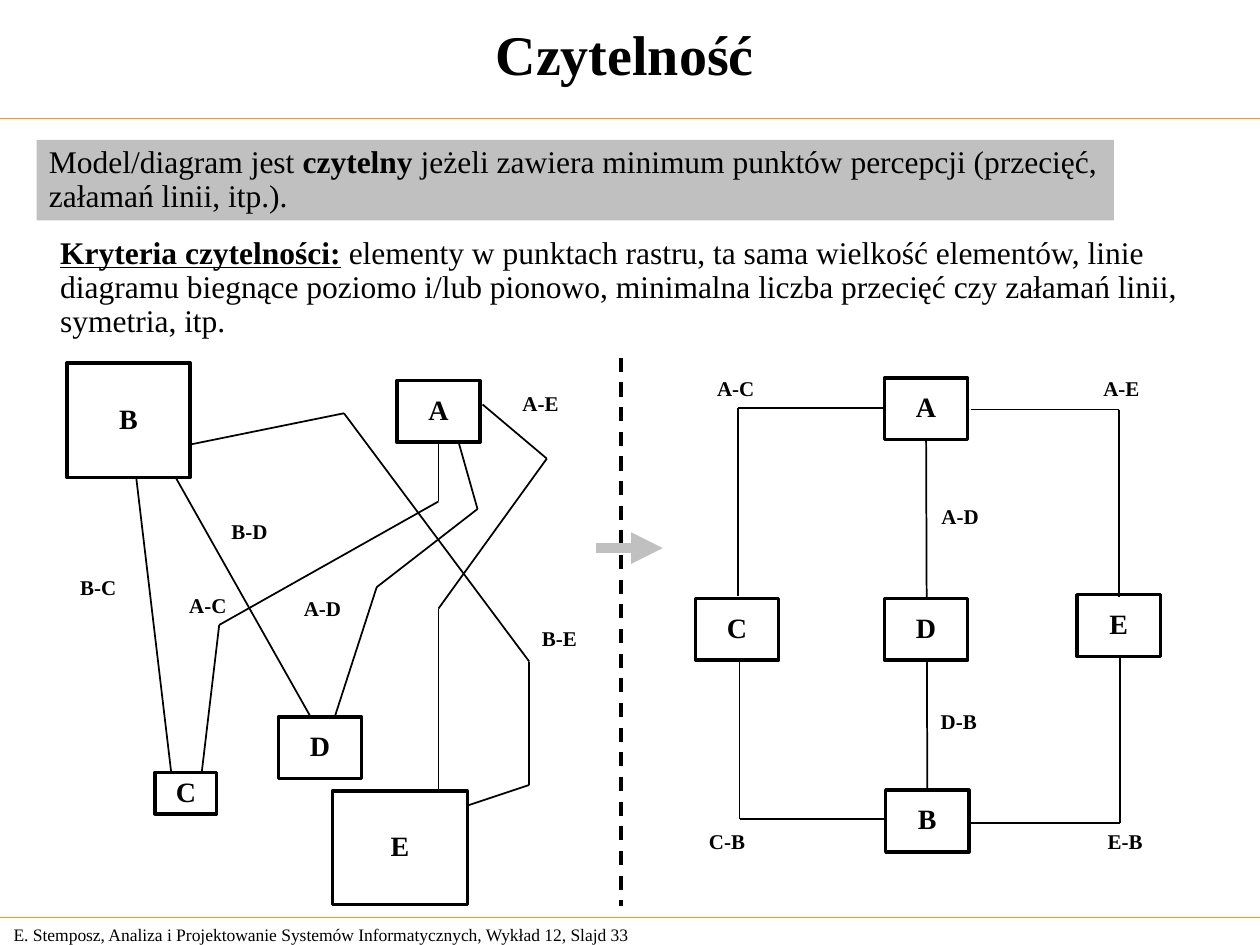
from itertools import pairwise
from typing import NamedTuple

from pptx import Presentation
from pptx.dml.color import RGBColor
from pptx.enum import dml, shapes, text
from pptx.oxml.ns import qn
from pptx.util import Inches, Pt

BLACK = RGBColor(0x00, 0x00, 0x00)
WHITE = RGBColor(0xFF, 0xFF, 0xFF)
SILVER = RGBColor(0xC0, 0xC0, 0xC0)
ORANGE = RGBColor(0xFF, 0x99, 0x00)
FONT = "Times New Roman"
LABEL_SIZE = (0.76, 0.51)
NODE_SIZE = (0.66, 0.49)


class Node(NamedTuple):
    name: str
    left: float
    top: float
    width: float = NODE_SIZE[0]
    height: float = NODE_SIZE[1]


class Label(NamedTuple):
    name: str
    left: float
    top: float


class Run(NamedTuple):
    content: str
    bold: bool = False
    underline: bool = False


Point = tuple[float, float]

MESSY_NODES = [
    Node("B", 0.53, 2.88, 0.98, 0.91),
    Node("C", 1.23, 6.13, 0.49, 0.33),
    Node("E", 2.64, 6.28, 1.07, 0.9),
    Node("D", 2.21, 5.69),
    Node("A", 3.15, 3.02),
]
MESSY_LABELS = [
    Label("B-D", 1.6, 3.97),
    Label("B-C", 0.4, 4.42),
    Label("B-E", 4.06, 4.82),
    Label("A-C", 1.27, 4.56),
    Label("A-E", 3.91, 2.96),
    Label("A-D", 2.18, 4.58),
]
MESSY_ROUTES: list[list[Point]] = [
    [(1.08, 3.78), (1.36, 6.14)],  # B-C
    [(1.6, 6.14), (1.74, 4.96), (3.48, 3.98), (3.48, 3.49)],  # A-C
    [(1.4, 3.8), (2.46, 5.68)],  # B-D
    [(1.5, 3.53), (2.73, 3.28), (4.2, 5.25), (4.2, 6.23), (3.72, 6.39)],  # B-E
    [(3.83, 3.21), (4.34, 3.64), (3.48, 4.83), (3.48, 6.28)],  # A-E
    [(2.66, 5.68), (2.99, 4.66), (3.79, 4.04), (3.64, 3.51)],  # A-D
]

CLEAR_NODES = [
    Node("B", 7.03, 6.27),
    Node("C", 5.52, 4.75),
    Node("E", 8.55, 4.72),
    Node("D", 7.02, 4.75),
    Node("A", 7.02, 3),
]
CLEAR_LABELS = [
    Label("D-B", 7.23, 5.48),
    Label("C-B", 5.39, 6.43),
    Label("E-B", 8.55, 6.43),
    Label("A-C", 5.46, 2.84),
    Label("A-E", 8.52, 2.84),
    Label("A-D", 7.24, 3.85),
]
MIDDLE_ROUTE: list[Point] = [(7.36, 6.28), (7.35, 3.47)]  # A-D-B, behind D
CLEAR_ROUTES: list[list[Point]] = [
    [(7.01, 3.24), (5.86, 3.24), (5.86, 4.73)],  # A-C
    [(5.87, 5.24), (5.87, 6.5), (7.03, 6.5)],  # C-B
    [(7.71, 3.25), (8.88, 3.25), (8.88, 4.74)],  # A-E
    [(8.89, 5.22), (8.89, 6.53), (7.71, 6.53)],  # E-B
]


def add_line(slide, start: Point, end: Point, color=BLACK, width: float = 1):
    line = slide.shapes.add_connector(
        shapes.MSO_CONNECTOR.STRAIGHT, *map(Inches, start + end))
    line.line.color.rgb = color
    line.line.width = Pt(width)
    properties = line._element.spPr
    properties.append(properties.makeelement(qn("a:effectLst"), {}))
    return line


def add_route(slide, points: list[Point]) -> None:
    for start, end in pairwise(points):
        add_line(slide, start, end)


def style_paragraph(paragraph, size: float, bold=None) -> None:
    paragraph.font.name = FONT
    paragraph.font.size = Pt(size)
    paragraph.font.color.rgb = BLACK
    paragraph.font.bold = bold


def write_centred(shape, content: str, size: float) -> None:
    frame = shape.text_frame
    frame.word_wrap = False
    frame.vertical_anchor = text.MSO_ANCHOR.MIDDLE
    paragraph = frame.paragraphs[0]
    paragraph.text = content
    paragraph.alignment = text.PP_ALIGN.CENTER
    paragraph.line_spacing = 0.9
    style_paragraph(paragraph, size, bold=True)


def add_node(slide, node: Node, filled: bool) -> None:
    box = slide.shapes.add_shape(
        shapes.MSO_SHAPE.RECTANGLE, *map(Inches, node[1:]))
    box.shadow.inherit = False
    if filled:
        box.fill.solid()
        box.fill.fore_color.rgb = WHITE
    else:
        box.fill.background()
    box.line.color.rgb = BLACK
    box.line.width = Pt(2)
    write_centred(box, node.name, 16)


def add_label(slide, label: Label) -> None:
    box = slide.shapes.add_textbox(
        *map(Inches, (label.left, label.top) + LABEL_SIZE))
    write_centred(box, label.name, 12)


def add_text(slide, bounds: tuple, runs: list[Run], size: float, spacing=None):
    box = slide.shapes.add_textbox(*map(Inches, bounds))
    box.text_frame.word_wrap = True
    paragraph = box.text_frame.paragraphs[0]
    paragraph.line_spacing = spacing
    style_paragraph(paragraph, size)
    for part in runs:
        run = paragraph.add_run()
        run.text = part.content
        if part.bold:
            run.font.bold = True
        if part.underline:
            run.font.underline = True
    return box


def main() -> None:
    presentation = Presentation()
    presentation.slide_width = Inches(10)
    presentation.slide_height = Inches(7.5)
    slide = presentation.slides.add_slide(presentation.slide_layouts[5])

    # Title
    title = slide.shapes.title
    title.left, title.top, title.width, title.height = map(
        Inches, (0, 0, 9.92, 0.85))
    title.text_frame.text = "Czytelność"
    title.text_frame.vertical_anchor = text.MSO_ANCHOR.MIDDLE
    title.text_frame.paragraphs[0].alignment = text.PP_ALIGN.CENTER
    style_paragraph(title.text_frame.paragraphs[0], 32, bold=True)

    # Footer and rules
    footer = add_text(slide, (0.01, 7.28, 5.24, 0.27), [Run(
        "E. Stemposz, Analiza i Projektowanie Systemów Informatycznych, "
        "Wykład 12, Slajd 33")], 10)
    footer.text_frame.word_wrap = False
    footer.text_frame.vertical_anchor = text.MSO_ANCHOR.MIDDLE
    for y in (0.94, 7.28):
        add_line(slide, (0, y), (10, y), ORANGE, 0.75)

    # Definition and criteria
    definition = add_text(slide, (0.29, 1.11, 8.55, 0.64), [
        Run("Model/diagram jest "),
        Run("czytelny", bold=True),
        Run(" jeżeli zawiera minimum punktów percepcji (przecięć, "
            "załamań linii, itp.)."),
    ], 18, 0.9)
    definition.fill.solid()
    definition.fill.fore_color.rgb = SILVER
    criteria = add_text(slide, (0.38, 1.83, 9.3, 0.91), [
        Run("Kryteria czytelności:", bold=True, underline=True),
        Run(" elementy w punktach rastru, ta sama wielkość elementów, linie "
            "diagramu biegnące poziomo i/lub pionowo, minimalna liczba "
            "przecięć czy załamań linii, symetria, itp."),
    ], 18, 0.9)
    criteria.text_frame.paragraphs[0].space_before = Pt(4.5)

    # Unreadable diagram on the left, readable one on the right
    add_route(slide, MIDDLE_ROUTE)
    for nodes, labels, routes, filled in (
            (MESSY_NODES, MESSY_LABELS, MESSY_ROUTES, False),
            (CLEAR_NODES, CLEAR_LABELS, CLEAR_ROUTES, True)):
        for node in nodes:
            add_node(slide, node, filled)
        for label in labels:
            add_label(slide, label)
        for route in routes:
            add_route(slide, route)

    # Divider and arrow between the diagrams
    divider = add_line(slide, (4.93, 2.84), (4.93, 7.19), width=2)
    divider.line.dash_style = dml.MSO_LINE.DASH
    arrow = add_line(slide, (4.73, 4.35), (5.26, 4.35), SILVER, 6)
    outline = arrow.line._get_or_add_ln()
    outline.append(outline.makeelement(qn("a:tailEnd"), {"type": "triangle"}))

    presentation.save("out.pptx")


if __name__ == "__main__":
    main()
